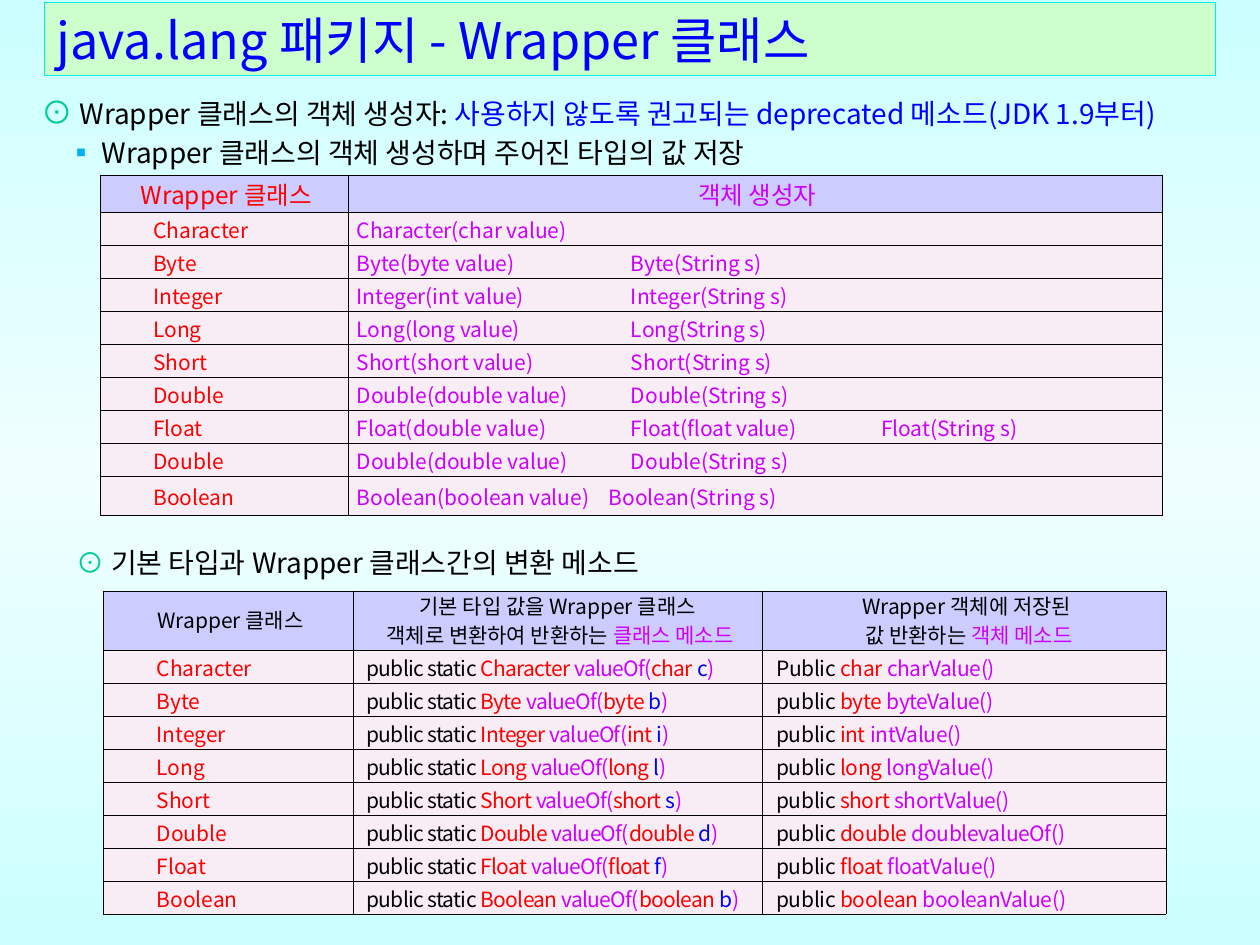
"""Build the slide on Wrapper classes of java.lang."""
import lxml.etree
import pptx
import pptx.dml.color
import pptx.enum.shapes
import pptx.enum.text
import pptx.oxml.ns
import pptx.util

Cm = pptx.util.Cm
Pt = pptx.util.Pt
qn = pptx.oxml.ns.qn
sub = lxml.etree.SubElement
rgb = pptx.dml.color.RGBColor.from_string
Align = pptx.enum.text.PP_ALIGN
Anchor = pptx.enum.text.MSO_ANCHOR
FACE = "Noto Sans CJK KR"
RED, BLUE, PINK, BLACK = "FF0000", "0000FF", "CC00FF", "000000"
GREEN, SKY = "00CC99", "00B0F0"
HEAD, BODY = "CCCCFF", "F9EDF5"


def write(par, runs, size, track=0, indent=0):
    props = par._p.get_or_add_pPr()
    if indent:
        props.set("marL", str(Cm(indent)))
        props.set("indent", "0")
    if any("\t" in text for text, tint in runs):
        tabs = sub(props, qn("a:tabLst"))
        sub(tabs, qn("a:tab"), pos=str(Cm(5.45)), algn="l")
    par.font.name = FACE
    par.font.size = Pt(size)
    sub(props.find(qn("a:defRPr")), qn("a:ea"), typeface=FACE)
    for text, tint in runs:
        run = par.add_run()
        run.text = text
        run.font.color.rgb = rgb(tint)
        if track:
            run._r.get_or_add_rPr().set("spc", str(track))
    if not runs:
        sub(par._p, qn("a:endParaRPr"), sz=str(size * 100))


def style(cell, fill, sides="LRTB", top=0):
    props = cell._tc.get_or_add_tcPr()
    for side in "LRTB":
        line = sub(props, qn("a:ln" + side), w=str(Pt(0.25)))
        if side in sides:
            solid = sub(line, qn("a:solidFill"))
            sub(solid, qn("a:srgbClr"), val=BLACK)
        else:
            sub(line, qn("a:noFill"))
    cell.fill.solid()
    cell.fill.fore_color.rgb = rgb(fill)
    cell.vertical_anchor = Anchor.MIDDLE
    cell.margin_left = cell.margin_right = Cm(0.08)
    cell.margin_top, cell.margin_bottom = Cm(top), 0


deck = pptx.Presentation()
deck.slide_width, deck.slide_height = Cm(25.4), Cm(19.05)
slide = deck.slides.add_slide(deck.slide_layouts[6])

back = slide.background.fill
back.gradient()
back.gradient_angle = 90
stops = slide.element.xpath(".//a:gsLst")[0]
sub(sub(stops, qn("a:gs"), pos="100000"), qn("a:srgbClr"), val="CCFFFF")
for stop, place, tint in zip(back.gradient_stops, (0, 0.5, 1), ("CCFFFF", "F0FFFF", "CCFFFF")):
    stop.position = place
    stop.color.rgb = rgb(tint)

title = slide.shapes.add_shape(
    pptx.enum.shapes.MSO_SHAPE.RECTANGLE, Cm(0.89), Cm(0.05), Cm(23.6), Cm(1.47))
title.shadow.inherit = False
title.fill.solid()
title.fill.fore_color.rgb = rgb("CCFFCC")
title.line.color.rgb = rgb("03EDE2")
title.line.width = Pt(0.25)
title.text_frame.vertical_anchor = Anchor.MIDDLE
par = title.text_frame.paragraphs[0]
par.alignment = Align.LEFT
write(par, [("java.lang 패키지 - Wrapper 클래스", BLUE)], 28.8)

intro = slide.shapes.add_textbox(Cm(0.58), Cm(1.73), Cm(24.41), Cm(1.83)).text_frame
intro.word_wrap = True
par = intro.paragraphs[0]
par.line_spacing = Pt(22)
write(par, [("⊙ ", GREEN), ("Wrapper 클래스의 객체 생성자: ", BLACK),
            ("사용하지 않도록 권고되는 deprecated 메소드(JDK 1.9부터)", BLUE)], 16)
par.runs[0].font.size = Pt(18)
par = intro.add_paragraph()
par.line_spacing = Pt(22)
write(par, [("▪ ", SKY), ("Wrapper 클래스의 객체 생성하며 주어진 타입의 값 저장", BLACK)],
      16, indent=0.53)

label = slide.shapes.add_textbox(Cm(1.3), Cm(10.64), Cm(12.7), Cm(1.35)).text_frame
label.word_wrap = True
par = label.paragraphs[0]
par.alignment = Align.JUSTIFY
par.line_spacing = 1.35
write(par, [("⊙ ", GREEN), ("기본 타입과 Wrapper 클래스간의 변환 메소드", BLACK)], 16)

makers = [
    ("Character", "Character(char value)"),
    ("Byte", "Byte(byte value)", "Byte(String s)"),
    ("Integer", "Integer(int value)", "Integer(String s)"),
    ("Long", "Long(long value)", "Long(String s)"),
    ("Short", "Short(short value)", "Short(String s)"),
    ("Double", "Double(double value)", "Double(String s)"),
    ("Float", "Float(double value)", "Float(float value)", "Float(String s)"),
    ("Double", "Double(double value)", "Double(String s)"),
    ("Boolean", "Boolean(boolean value)\tBoolean(String s)"),
]
pitch = Cm(5.32) // 8
widths = [5, 5.36, 5.21, 5.84]
highs = [Cm(0.75)] + [pitch] * 8 + [Cm(0.79)]
grid = slide.shapes.add_table(
    10, 4, Cm(2.01), Cm(3.53), Cm(sum(widths)), sum(highs)).table
grid.first_row = grid.horz_banding = False
for col, width in zip(grid.columns, widths):
    col.width = Cm(width)
for row, high in zip(grid.rows, highs):
    row.height = high
for row, last in ((0, 3), (1, 2), (9, 3)):
    grid.cell(row, 1).merge(grid.cell(row, last))
heads = [[("Wrapper 클래스", RED)], [("객체 생성자", PINK)], [], []]
for col, runs in enumerate(heads):
    cell = grid.cell(0, col)
    style(cell, HEAD)
    par = cell.text_frame.paragraphs[0]
    par.alignment = Align.CENTER
    write(par, runs, 14, indent=0.1)
for row, texts in enumerate(makers, 1):
    for col, indent in enumerate((1, 0.1, 0.27, 0.1)):
        cell = grid.cell(row, col)
        sides = ("LRTB", "LTB", "TB", "RTB")[col]
        style(cell, BODY, "LRTB" if row == 9 else sides, 0.04)
        runs = [(texts[col], PINK if col else RED)] if col < len(texts) else []
        write(cell.text_frame.paragraphs[0], runs, 12, indent=indent)

heads = [
    [[("Wrapper 클래스", BLACK)]],
    [[("기본 타입 값을 Wrapper 클래스 ", BLACK)],
     [("객체로 변환하여 반환하는 ", BLACK), ("클래스 메소드", PINK)]],
    [[("Wrapper 객체에 저장된", BLACK)],
     [(" 값 반환하는 ", BLACK), ("객체 메소드", PINK)]],
]
kinds = [
    ("Character", "char", "c"), ("Byte", "byte", "b"), ("Integer", "int", "i"),
    ("Long", "long", "l"), ("Short", "short", "s"), ("Double", "double", "d"),
    ("Float", "float", "f"), ("Boolean", "boolean", "b"),
]
widths = [5.03, 8.26, 8.13]
highs = [Cm(1.19)] + [pitch] * 8
grid = slide.shapes.add_table(
    9, 3, Cm(2.08), Cm(11.91), Cm(sum(widths)), sum(highs)).table
grid.first_row = grid.horz_banding = False
for col, width in zip(grid.columns, widths):
    col.width = Cm(width)
for row, high in zip(grid.rows, highs):
    row.height = high
for col, lines in enumerate(heads):
    cell = grid.cell(0, col)
    style(cell, HEAD)
    frame = cell.text_frame
    for num, runs in enumerate(lines):
        par = frame.add_paragraph() if num else frame.paragraphs[0]
        par.alignment = Align.CENTER
        par.line_spacing = Pt(16.8)
        write(par, runs, 12, indent=0.1)
for row, (name, kind, var) in enumerate(kinds, 1):
    access = "Public " if kind == "char" else "public "
    getter = "doublevalueOf()" if kind == "double" else kind + "Value()"
    cells = [
        ([(name, RED)], 0, 1),
        ([("public static ", BLACK), (name + " ", RED), ("valueOf(", PINK),
          (kind + " ", RED), (var, BLUE), (")", PINK)], -40, 0.2),
        ([(access, BLACK), (kind + " ", RED), (getter, PINK)], -20, 0.2),
    ]
    for col, (runs, track, indent) in enumerate(cells):
        cell = grid.cell(row, col)
        style(cell, BODY, top=0.04)
        write(cell.text_frame.paragraphs[0], runs, 12, track, indent)

deck.save("out.pptx")
